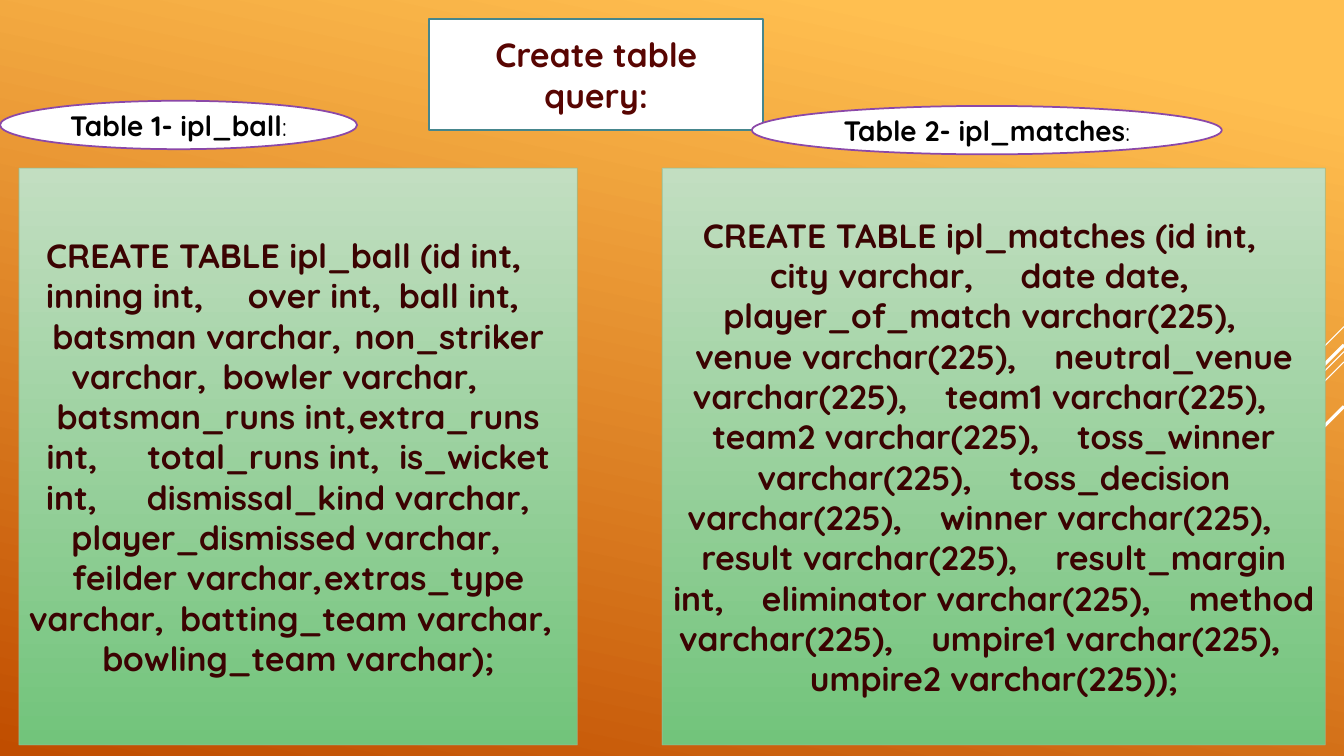
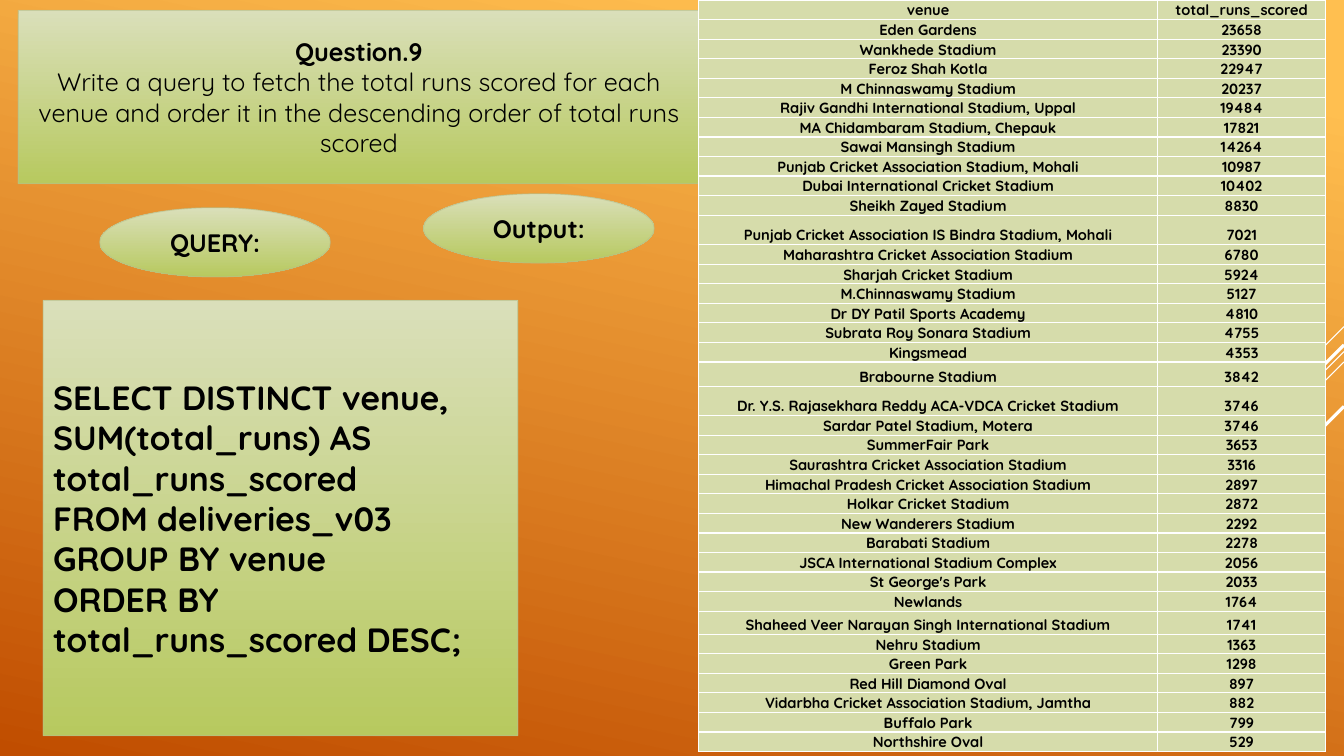
from lxml.etree import SubElement
from pptx import Presentation
from pptx.dml.color import RGBColor
from pptx.enum.shapes import MSO_CONNECTOR, MSO_SHAPE as Preset
from pptx.enum.text import MSO_ANCHOR as Anchor, MSO_AUTO_SIZE as AutoSize, PP_ALIGN as Align
from pptx.oxml.ns import qn
from pptx.util import Cm, Pt

FONT = "Quicksand"
SLIDE_WIDTH, SLIDE_HEIGHT = 33.87, 19.05
COLORS = {
    "amber": "FFBF50", "rust": "C04D00",
    "white": "FFFFFF", "black": "000000",
    "teal": "46868D", "purple": "8B48A8",
    "maroon": "580502", "dark_maroon": "3B0302",
    "mint": "C2DEC1", "green": "72C47B", "green_edge": "94BD94",
    "pale_olive": "DADFBA", "olive": "B7C95F", "olive_edge": "B8BE89",
    "cell": "D6DCAB",
}
GREEN = ("mint", "green", "green_edge")
OLIVE = ("pale_olive", "olive", "olive_edge")

# Diagonal rays from the right edge: top, reach, line width
RAYS = [(8.23, 2.54, 0.75), (8.86, 8.28, 0.75), (9.12, 5.27, 0.75),
        (8.69, 4.85, 2.25), (10.24, 3.53, 2.25)]

BALL_COLUMNS = [
    "id int", "inning int", "over int", "ball int", "batsman varchar",
    "non_striker varchar", "bowler varchar", "batsman_runs int",
    "extra_runs int", "total_runs int", "is_wicket int",
    "dismissal_kind varchar", "player_dismissed varchar", "feilder varchar",
    "extras_type varchar", "batting_team varchar", "bowling_team varchar",
]
BALL_QUERY = "CREATE TABLE ipl_ball (" + ",\t".join(BALL_COLUMNS) + ");"
MATCHES_QUERY = (
    "CREATE TABLE ipl_matches (id int,    city varchar,     date date,"
    "    player_of_match varchar(225),    venue varchar(225),"
    "    neutral_venue varchar(225),    team1 varchar(225),"
    "    team2 varchar(225),    toss_winner varchar(225),"
    "    toss_decision varchar(225),    winner varchar(225),"
    "    result varchar(225),    result_margin int,"
    "    eliminator varchar(225),    method varchar(225),"
    "    umpire1 varchar(225),    umpire2 varchar(225));"
)
VENUE_QUERY = [
    "SELECT DISTINCT venue, SUM(total_runs) AS total_runs_scored",
    "FROM deliveries_v03 GROUP BY venue",
    "ORDER BY total_runs_scored DESC;",
]
QUESTION = [
    "Question.9",
    "Write a query to fetch the total runs scored for each venue and order it "
    "in the descending order of total runs scored",
]
VENUE_RUNS = [
    ("venue", "total_runs_scored"),
    ("Eden Gardens", 23658),
    ("Wankhede Stadium", 23390),
    ("Feroz Shah Kotla", 22947),
    ("M Chinnaswamy Stadium", 20237),
    ("Rajiv Gandhi International Stadium, Uppal", 19484),
    ("MA Chidambaram Stadium, Chepauk", 17821),
    ("Sawai Mansingh Stadium", 14264),
    ("Punjab Cricket Association Stadium, Mohali", 10987),
    ("Dubai International Cricket Stadium", 10402),
    ("Sheikh Zayed Stadium", 8830),
    ("Punjab Cricket Association IS Bindra Stadium, Mohali", 7021),
    ("Maharashtra Cricket Association Stadium", 6780),
    ("Sharjah Cricket Stadium", 5924),
    ("M.Chinnaswamy Stadium", 5127),
    ("Dr DY Patil Sports Academy", 4810),
    ("Subrata Roy Sonara Stadium", 4755),
    ("Kingsmead", 4353),
    ("Brabourne Stadium", 3842),
    ("Dr. Y.S. Rajasekhara Reddy ACA-VDCA Cricket Stadium", 3746),
    ("Sardar Patel Stadium, Motera", 3746),
    ("SummerFair Park", 3653),
    ("Saurashtra Cricket Association Stadium", 3316),
    ("Himachal Pradesh Cricket Association Stadium", 2897),
    ("Holkar Cricket Stadium", 2872),
    ("New Wanderers Stadium", 2292),
    ("Barabati Stadium", 2278),
    ("JSCA International Stadium Complex", 2056),
    ("St George's Park", 2033),
    ("Newlands", 1764),
    ("Shaheed Veer Narayan Singh International Stadium", 1741),
    ("Nehru Stadium", 1363),
    ("Green Park", 1298),
    ("Red Hill Diamond Oval", 897),
    ("Vidarbha Cricket Association Stadium, Jamtha", 882),
    ("Buffalo Park", 799),
    ("Northshire Oval", 529),
]
TALL_ROWS = {11: 0.74, 18: 0.61, 19: 0.74, 30: 0.58}
TABLE_HEIGHT = 18.95


def color(name):
    return RGBColor.from_string(COLORS[name])


def paint_gradient(fill, start, end, angle, first_stop=0.0):
    """Fill with a two-colour gradient; the angle runs clockwise."""
    fill.gradient()
    fill.gradient_angle = 360 - angle
    for stop, name, position in zip(fill.gradient_stops, (start, end), (first_stop, 1.0)):
        stop.color.rgb = color(name)
        stop.position = position


def paint_panel(shape, scheme):
    """Gradient fill with a thin, partly transparent outline."""
    start, end, edge = scheme
    paint_gradient(shape.fill, start, end, 90)
    shape.line.color.rgb = color(edge)
    shape.line.width = Pt(0.75)
    edge_color = shape._element.spPr.find(f"{qn('a:ln')}//{qn('a:srgbClr')}")
    SubElement(edge_color, qn("a:alpha"), val="60000")
    shape.shadow.inherit = False


def paint_outlined(shape, edge):
    """White fill with a coloured outline."""
    shape.fill.solid()
    shape.fill.fore_color.rgb = color("white")
    shape.line.color.rgb = color(edge)
    shape.line.width = Pt(1.25)
    shape.shadow.inherit = False


def format_run(run, size, ink="black", bold=True):
    run.font.name = FONT
    run.font.size = Pt(size)
    run.font.bold = bold
    run.font.color.rgb = color(ink)


def write(text_frame, lines, size, ink="black", align=Align.CENTER):
    text_frame.text = "\n".join(lines)
    for paragraph in text_frame.paragraphs:
        paragraph.alignment = align
        for run in paragraph.runs:
            format_run(run, size, ink)


def write_in_shape(shape, lines, size, **style):
    frame = shape.text_frame
    frame.word_wrap = True
    frame.auto_size = AutoSize.NONE
    frame.vertical_anchor = Anchor.MIDDLE
    write(frame, lines, size, **style)


def add_shape(slide, preset, box):
    return slide.shapes.add_shape(preset, *map(Cm, box))


def place_title(slide, preset_name, box):
    """Move the title placeholder and give it a preset outline."""
    title = slide.shapes.title
    title.left, title.top, title.width, title.height = map(Cm, box)
    geometry = SubElement(title._element.spPr, qn("a:prstGeom"), prst=preset_name)
    SubElement(geometry, qn("a:avLst"))
    return title


def add_panel(slide, preset, box, scheme, lines, size, **style):
    panel = add_shape(slide, preset, box)
    paint_panel(panel, scheme)
    write_in_shape(panel, lines, size, **style)


def add_table_label(slide, box, text):
    label = add_shape(slide, Preset.OVAL, box)
    paint_outlined(label, "purple")
    write_in_shape(label, [text], 20)
    colon = label.text_frame.paragraphs[0].add_run()
    colon.text = ":"
    format_run(colon, 18, bold=False)


def add_cell_borders(cell):
    properties = cell._tc.get_or_add_tcPr()
    for index, side in enumerate(("a:lnL", "a:lnR", "a:lnT", "a:lnB")):
        border = properties.makeelement(qn(side), {"w": str(Pt(1))})
        properties.insert(index, border)
        fill = SubElement(border, qn("a:solidFill"))
        SubElement(fill, qn("a:srgbClr"), val=COLORS["white"])


def add_venue_table(slide):
    widths = (11.58, 4.22)
    frame = slide.shapes.add_table(len(VENUE_RUNS), len(widths), Cm(17.6), Cm(0),
                                   Cm(sum(widths)), Cm(TABLE_HEIGHT))
    table = frame.table
    table.first_row = table.horz_banding = False
    for column, width in zip(table.columns, widths):
        column.width = Cm(width)
    plain_height = ((TABLE_HEIGHT - sum(TALL_ROWS.values()))
                    / (len(VENUE_RUNS) - len(TALL_ROWS)))
    for index, (row, values) in enumerate(zip(table.rows, VENUE_RUNS)):
        row.height = Cm(TALL_ROWS.get(index, plain_height))
        for cell, value in zip(row.cells, values):
            cell.margin_left = cell.margin_right = cell.margin_top = cell.margin_bottom = 0
            cell.vertical_anchor = Anchor.BOTTOM
            cell.fill.solid()
            cell.fill.fore_color.rgb = color("cell")
            add_cell_borders(cell)
            write(cell.text_frame, [str(value)], 10.5)


def add_rays(slide, layout):
    """Draw the rays and hand them to the layout, so every slide shows them."""
    for top, reach, width in RAYS:
        ray = slide.shapes.add_connector(
            MSO_CONNECTOR.STRAIGHT, Cm(SLIDE_WIDTH), Cm(top),
            Cm(SLIDE_WIDTH - reach), Cm(top + reach))
        ray.line.color.rgb = color("white")
        ray.line.width = Pt(width)
        SubElement(ray._element.spPr, qn("a:effectLst"))
        layout.shapes._spTree.append(ray._element)


def build_create_slide(slide):
    title = place_title(slide, "ellipse", (10.82, 0.48, 8.41, 2.8))
    paint_outlined(title, "teal")
    write_in_shape(title, ["Create table query:"], 24, ink="maroon")
    # One query panel per table
    for left, width, query in ((0.48, 14.07, BALL_QUERY), (16.69, 16.71, MATCHES_QUERY)):
        add_panel(slide, Preset.RECTANGLE, (left, 4.24, width, 14.53), GREEN,
                  [query], 24, ink="dark_maroon")
    add_table_label(slide, (0, 2.54, 9, 1.22), "Table 1- ipl_ball")
    add_table_label(slide, (18.95, 2.67, 11.84, 1.22), "Table 2- ipl_matches")


def build_question_slide(slide):
    title = place_title(slide, "rect", (0.46, 0.26, 17.17, 4.37))
    paint_panel(title, OLIVE)
    write_in_shape(title, QUESTION, 18)
    title.text_frame.paragraphs[1].runs[0].font.bold = False
    # Section labels
    for left, top, text in ((2.51, 5.23, "QUERY:"), (10.67, 4.88, "Output:")):
        add_panel(slide, Preset.OVAL, (left, top, 5.82, 1.75), OLIVE, [text], 18)
    # Query and its result
    add_panel(slide, Preset.RECTANGLE, (1.09, 7.57, 11.96, 10.97), OLIVE,
              VENUE_QUERY, 24, align=Align.LEFT)
    add_venue_table(slide)


def main():
    presentation = Presentation()
    presentation.slide_width = Cm(SLIDE_WIDTH)
    presentation.slide_height = Cm(SLIDE_HEIGHT)
    # Shared background and rays
    paint_gradient(presentation.slide_master.background.fill, "amber", "rust", 102, 0.1)
    layout = presentation.slide_layouts.get_by_name("Title Only")
    create_slide = presentation.slides.add_slide(layout)
    add_rays(create_slide, layout)
    build_create_slide(create_slide)
    build_question_slide(presentation.slides.add_slide(layout))
    presentation.save("out.pptx")


if __name__ == "__main__":
    main()
